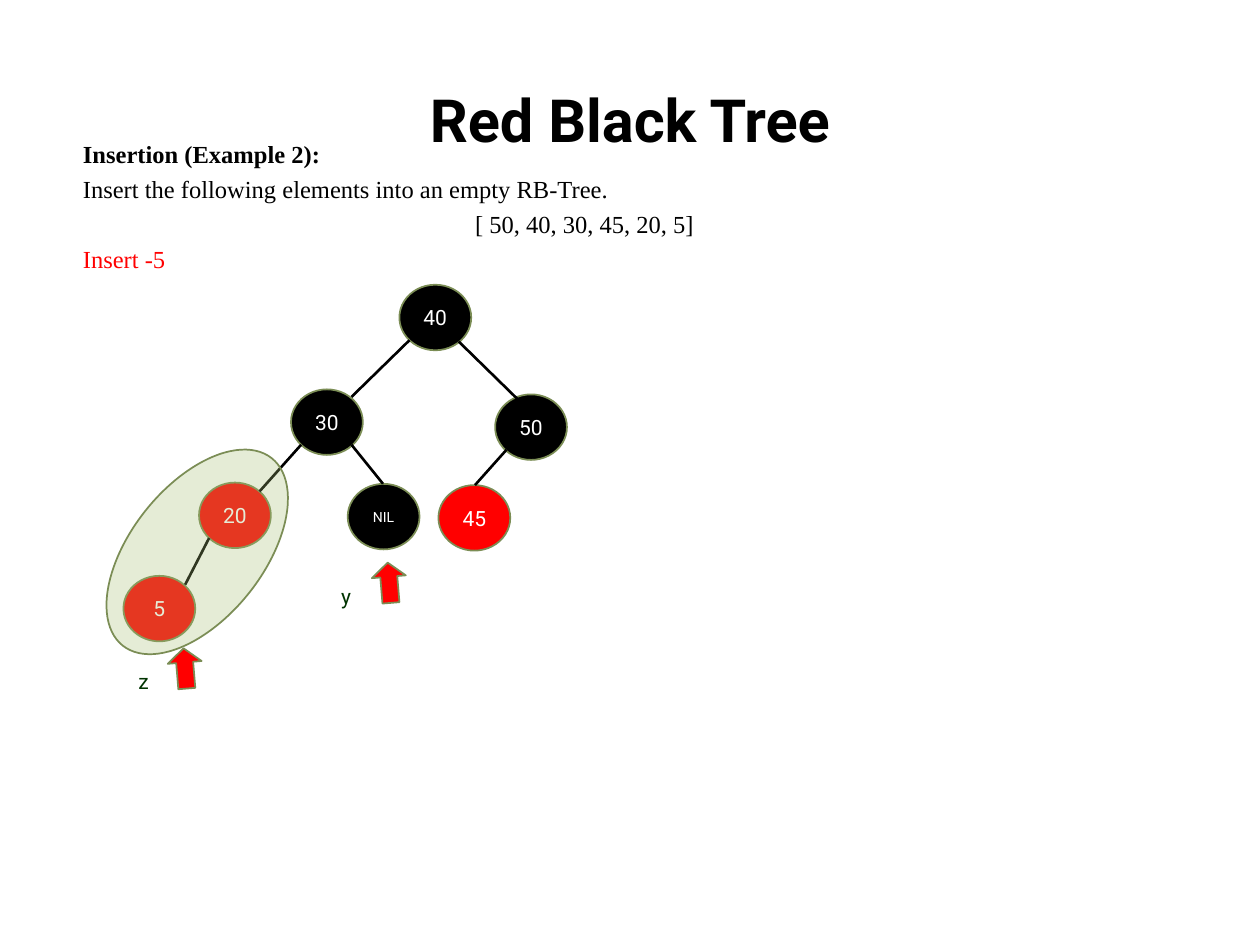
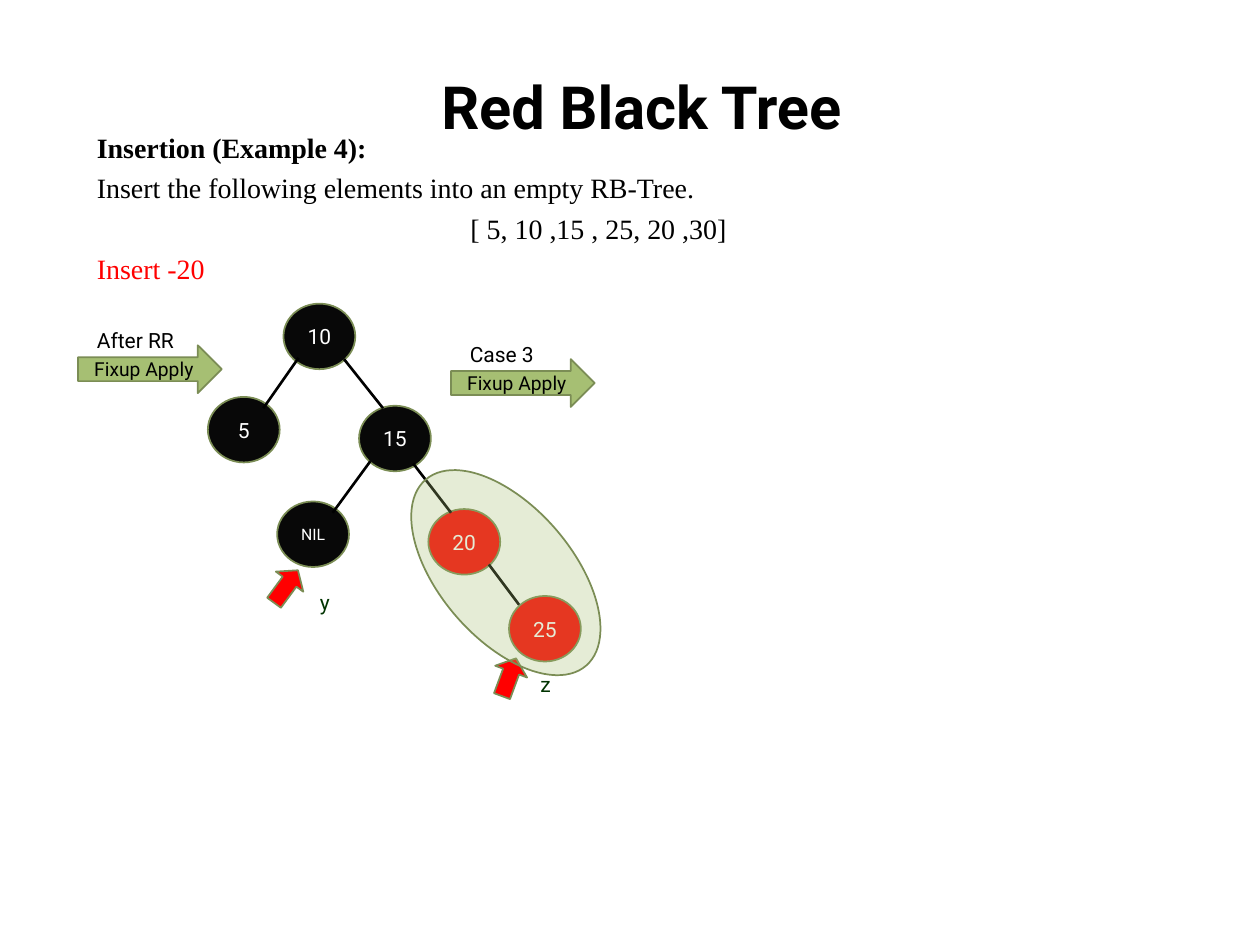
"""Build two slides on insertion into a red black tree."""
from lxml import etree
from pptx import Presentation
from pptx.dml.color import RGBColor
from pptx.enum.shapes import MSO_CONNECTOR, MSO_SHAPE
from pptx.enum.text import MSO_ANCHOR, PP_ALIGN
from pptx.oxml.ns import qn
from pptx.util import Inches, Pt

OVAL = MSO_SHAPE.OVAL
ARROW = MSO_SHAPE.RIGHT_ARROW
LINE = MSO_CONNECTOR.STRAIGHT
MIDDLE = MSO_ANCHOR.MIDDLE
LEFT, CENTER, JUSTIFY = PP_ALIGN.LEFT, PP_ALIGN.CENTER, PP_ALIGN.JUSTIFY

SANS, SERIF = "Roboto", "Times New Roman"
BLACK, INK, WHITE, RED = "000000", "080808", "FFFFFF", "FF0000"
GREEN, OLIVE, MARK = "A6BF73", "7B8D55", "003300"
NODE_W, NODE_H = 0.57, 0.52


def color(code):
    """Turn a hex string into a colour."""
    return RGBColor.from_string(code)


def style(para, size, code, face=SANS, align=LEFT, bold=False):
    """Set the font and alignment of a paragraph."""
    para.alignment = align
    font = para.font
    font.name, font.size, font.bold = face, Pt(size), bold
    font.color.rgb = color(code)


def title(slide, left, top):
    """Place the shared title."""
    box = slide.shapes.title
    box.left, box.top = Inches(left), Inches(top)
    box.width, box.height = Inches(9), Inches(0.79)
    frame = box.text_frame
    frame.text = "Red Black Tree"
    frame.vertical_anchor = MIDDLE
    style(frame.paragraphs[0], 34, BLACK, align=CENTER, bold=True)


def text_box(slide, left, top, width, height):
    """Add a wrapping text box and return its frame."""
    box = slide.shapes.add_textbox(
        Inches(left), Inches(top), Inches(width), Inches(height))
    box.text_frame.word_wrap = True
    return box.text_frame


def intro(slide, left, top, height, size, number, keys, step):
    """Write the task, the keys and the current step."""
    frame = text_box(slide, left, top, 8.16, height)
    rows = [
        (f"Insertion (Example {number}):", BLACK, JUSTIFY, True),
        ("Insert the following elements into an empty RB-Tree.",
         BLACK, JUSTIFY, False),
        (keys, BLACK, CENTER, False),
        (step, RED, LEFT, False),
    ]
    for i, (words, code, align, bold) in enumerate(rows):
        para = frame.add_paragraph() if i else frame.paragraphs[0]
        para.text = words
        if i:
            para.space_before = Pt(round(size * 0.23, 1))
        style(para, size, code, SERIF, align, bold)


def label(slide, words, left, top, width=0.27, code=BLACK):
    """Add a short label."""
    para = text_box(slide, left, top, width, 0.3).paragraphs[0]
    para.text = words
    style(para, 12, code)


def shape(slide, kind, left, top, width, height, fill, turn=0):
    """Add an outlined preset shape."""
    item = slide.shapes.add_shape(
        kind, Inches(left), Inches(top), Inches(width), Inches(height))
    item.shadow.inherit = False
    item.rotation = turn
    item.fill.solid()
    item.fill.fore_color.rgb = color(fill)
    item.line.color.rgb = color(OLIVE)
    item.line.width = Pt(1)
    return item


def caption(item, words, size, code):
    """Centre words in a shape."""
    frame = item.text_frame
    frame.margin_left = frame.margin_right = 0
    frame.margin_top = frame.margin_bottom = 0
    frame.word_wrap = False
    frame.vertical_anchor = MIDDLE
    frame.text = words
    style(frame.paragraphs[0], size, code, align=CENTER)


def node(slide, key, left, top, fill, size=12):
    """Add a tree node."""
    item = shape(slide, OVAL, left, top, NODE_W, NODE_H, fill)
    caption(item, key, size, WHITE)


def edge(slide, x1, y1, x2, y2):
    """Join two nodes with a line."""
    line = slide.shapes.add_connector(
        LINE, Inches(x1), Inches(y1), Inches(x2), Inches(y2))
    line.line.color.rgb = color(BLACK)
    line.line.width = Pt(1.5)
    etree.SubElement(line._element.spPr, qn("a:effectLst"))


def pointer(slide, name, left, top, turn, x, y):
    """Add a red arrow and its name."""
    item = shape(slide, ARROW, left, top, 0.32, 0.27, RED, turn)
    item.adjustments[1] = 0.415
    label(slide, name, x, y, code=MARK)


def halo(slide, left, top, height, turn):
    """Mark the two red nodes in conflict."""
    item = shape(slide, OVAL, left, top, 1.05, height, GREEN, turn)
    tint = item.fill._xPr.find(qn("a:solidFill"))[0]
    etree.SubElement(tint, qn("a:alpha"), val="29000")


def fixup(slide, words, left, top):
    """Add a fixup arrow with a label above it."""
    item = shape(slide, ARROW, left, top, 1.14, 0.38, GREEN)
    caption(item, "Fixup Apply", 11, BLACK)
    label(slide, words, left + 0.05, top - 0.19, 1.09)


def tree(slide, nodes, edges, marks, ring):
    """Draw a tree with its pointers and its halo."""
    for row in nodes:
        node(slide, *row)
    for row in edges:
        edge(slide, *row)
    for row in marks:
        pointer(slide, *row)
    halo(slide, *ring)


def main():
    """Build and save the slides."""
    deck = Presentation()
    deck.slide_width, deck.slide_height = Inches(10), Inches(7.5)
    plain = deck.slide_layouts[5]

    slide = deck.slides.add_slide(plain)
    title(slide, 0.5, 0.55)
    intro(slide, 0.56, 1.05, 1.21, 14, 2,
          "[ 50, 40, 30, 45, 20, 5]", "Insert -5")
    tree(
        slide,
        [("40", 3.17, 2.26, BLACK), ("50", 3.93, 3.13, BLACK),
         ("30", 2.31, 3.09, BLACK), ("45", 3.48, 3.85, RED),
         ("20", 1.58, 3.83, RED), ("5", 0.98, 4.57, RED),
         ("NIL", 2.76, 3.84, BLACK, 8)],
        [(3.64, 2.71, 4.11, 3.17), (3.25, 2.7, 2.79, 3.15),
         (4.02, 3.57, 3.77, 3.85), (2.39, 3.53, 2.06, 3.9),
         (1.66, 4.27, 1.47, 4.64), (2.79, 3.53, 3.04, 3.84)],
        [("z", 1.31, 5.17, 265.3, 1, 5.26),
         ("y", 2.93, 4.49, 265.3, 2.61, 4.58)],
        (1.04, 3.43, 1.9, 38.5))

    slide = deck.slides.add_slide(plain)
    title(slide, 0.59, 0.44)
    intro(slide, 0.67, 0.99, 1.34, 16, 4,
          "[ 5, 10 ,15 , 25, 20 ,30]", "Insert -20")
    fixup(slide, "After RR", 0.62, 2.74)
    tree(
        slide,
        [("10", 2.25, 2.41, INK), ("15", 2.85, 3.22, INK),
         ("5", 1.65, 3.15, INK), ("20", 3.4, 4.04, RED),
         ("25", 4.04, 4.73, RED), ("NIL", 2.2, 3.98, INK, 9)],
        [(2.73, 2.85, 3.04, 3.24), (2.37, 2.84, 2.09, 3.24),
         (3.28, 3.68, 3.58, 4.07), (3.88, 4.48, 4.12, 4.8),
         (2.94, 3.66, 2.64, 4.07)],
        [("z", 3.88, 5.24, 290.3, 4.19, 5.28),
         ("y", 2.11, 4.52, 306.3, 2.44, 4.63)],
        (3.49, 3.57, 1.95, 319.2))
    fixup(slide, "Case 3", 3.58, 2.85)

    deck.save("out.pptx")


if __name__ == "__main__":
    main()
